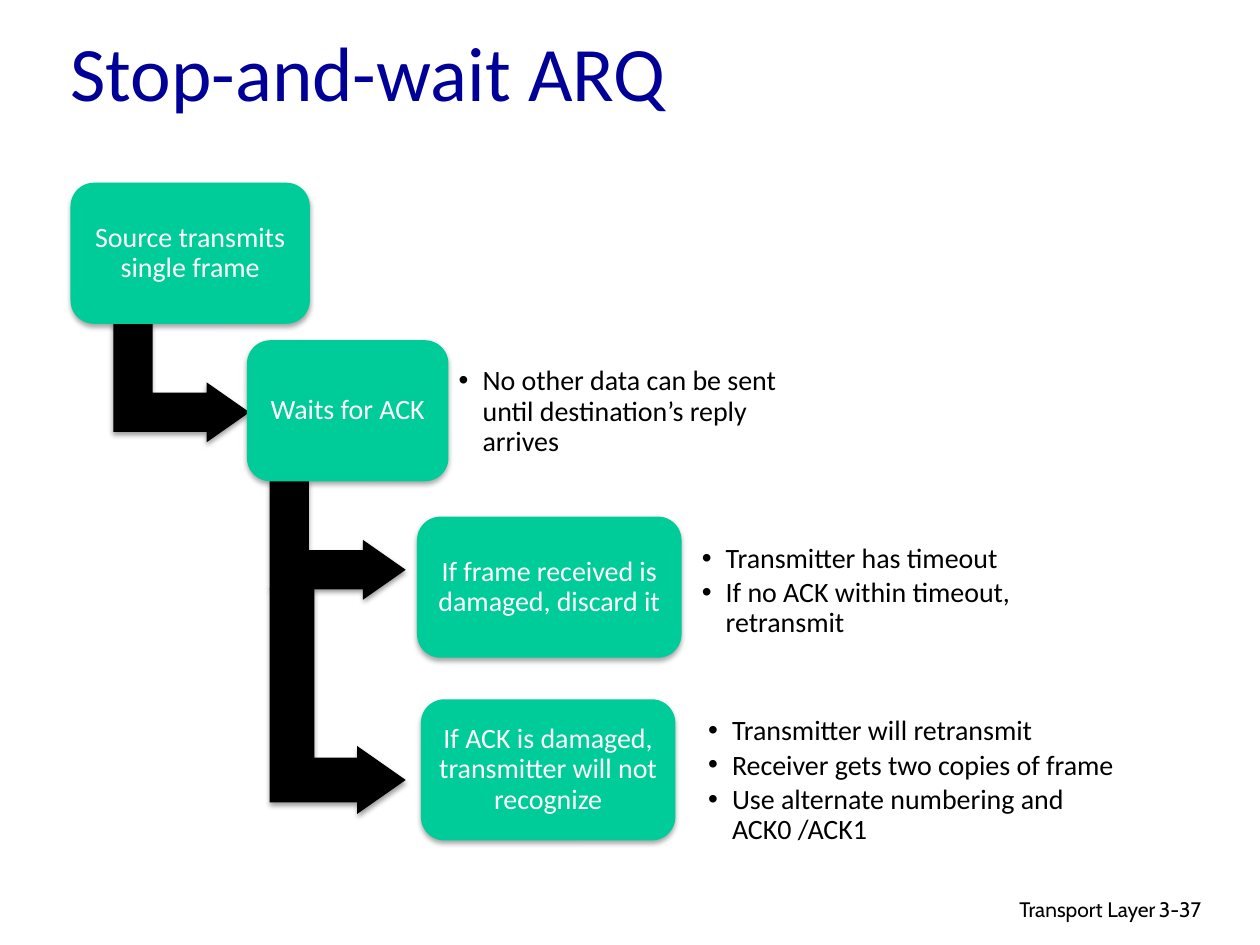
from lxml.etree import SubElement
from pptx import Presentation
from pptx.dml.color import RGBColor
from pptx.enum.shapes import MSO_SHAPE as Shape
from pptx.enum.text import MSO_ANCHOR as Anchor, PP_ALIGN as Align
from pptx.oxml.ns import qn
from pptx.util import Inches, Pt

GREEN, NAVY, BLACK, WHITE = "00CC99", "000099", "000000", "FFFFFF"
BODY_FONT, FOOTER_FONT = "Calibri", "Cabin"
STEP_HEIGHT = 1.12
ARROW_ADJUSTMENTS = (0.328, 0.25, 0.358)


def rgb(hex_color):
    return RGBColor.from_string(hex_color)


def apply(target, values):
    """Set every attribute named in the dict of format values."""
    for name, value in values.items():
        setattr(target, name, value)


class FlowSlide:
    """Holds the style and the slide that its methods draw on."""

    def __init__(self, slide):
        self.slide = slide
        self.body = {"name": BODY_FONT, "size": Pt(16)}
        self.step_paragraph = {"alignment": Align.CENTER, "line_spacing": 0.9,
                               "space_after": Pt(5.6)}
        self.note_paragraph = {"line_spacing": 0.9, "space_after": Pt(2.4)}

    def frame(self, shape, margin=None, anchor=Anchor.MIDDLE):
        text_frame = shape.text_frame
        apply(text_frame, {"word_wrap": True, "vertical_anchor": anchor})
        if margin is not None:
            sides = ("left", "top", "right", "bottom")
            apply(text_frame, {f"margin_{side}": Inches(margin) for side in sides})
        return text_frame

    def add_text(self, paragraph, text, font, color, layout):
        run = paragraph.add_run()
        run.text = text
        apply(run.font, font)
        run.font.color.rgb = rgb(color)
        apply(paragraph, layout)

    def textbox(self, bounds):
        return self.slide.shapes.add_textbox(*map(Inches, bounds))

    def shadow(self, shape, opacity, distance):
        """Give the shape a soft shadow that falls straight down."""
        shape.shadow.inherit = False
        effects = shape._element.spPr.find(qn("a:effectLst"))
        outer = SubElement(effects, qn("a:outerShdw"), blurRad=str(Pt(3.1)),
                           dist=str(Pt(distance)), dir="5400000", rotWithShape="0")
        color = SubElement(outer, qn("a:srgbClr"), val=BLACK)
        SubElement(color, qn("a:alpha"), val=str(opacity * 1000))

    def solid(self, preset, bounds, color, opacity, distance):
        shape = self.slide.shapes.add_shape(preset, *map(Inches, bounds))
        shape.fill.solid()
        shape.fill.fore_color.rgb = rgb(color)
        shape.line.fill.background()
        self.shadow(shape, opacity, distance)
        return shape

    def label(self, bounds, text, font, color=BLACK, align=Align.LEFT, anchor=Anchor.TOP):
        text_frame = self.frame(self.textbox(bounds), anchor=anchor)
        self.add_text(text_frame.paragraphs[0], text, font, color, {"alignment": align})

    def step(self, left, top, width, text):
        box = self.solid(Shape.ROUNDED_RECTANGLE, (left, top, width, STEP_HEIGHT),
                         GREEN, opacity=35, distance=1.8)
        text_frame = self.frame(box, margin=0.07)
        self.add_text(text_frame.paragraphs[0], text, self.body, WHITE, self.step_paragraph)

    def arrow(self, left, top, length):
        """Draw an arrow that runs down from a step and turns right."""
        reach = 1.08
        # The preset is laid out upright, then turned about its centre.
        offset = (length - reach) / 2
        arrow = self.solid(Shape.BENT_UP_ARROW, (left - offset, top + offset, length, reach),
                           BLACK, opacity=38, distance=1.6)
        arrow.rotation = 90
        for index, value in enumerate(ARROW_ADJUSTMENTS):
            arrow.adjustments[index] = value

    def notes(self, bounds, points):
        text_frame = self.frame(self.textbox(bounds), margin=0.07)
        indent = Inches(0.19)
        for index, point in enumerate(points):
            paragraph = text_frame.add_paragraph() if index else text_frame.paragraphs[0]
            self.add_text(paragraph, point, self.body, BLACK, self.note_paragraph)
            properties = paragraph._p.get_or_add_pPr()
            properties.set("marL", str(indent))
            properties.set("indent", str(-indent))
            SubElement(properties, qn("a:buFont"), typeface="Arial")
            SubElement(properties, qn("a:buChar"), char="•")


def main():
    deck = Presentation()
    apply(deck, {"slide_width": Inches(10), "slide_height": Inches(7.5)})
    flow = FlowSlide(deck.slides.add_slide(deck.slide_layouts[6]))

    footer = {"name": FOOTER_FONT, "size": Pt(12)}
    flow.label((6.1, 7.07, 3.17, 0.3), "Transport Layer", footer, align=Align.RIGHT)
    flow.label((9.1, 7.07, 0.74, 0.3), "3-37", footer)
    flow.label((0.46, 0.23, 8.5, 0.67), "Stop-and-wait ARQ",
               {"name": BODY_FONT, "size": Pt(44)}, NAVY, anchor=Anchor.MIDDLE)

    arrows = [(0.9, 2.56, 0.95), (2.14, 3.81, 0.95), (2.14, 4.67, 1.79)]
    for arrow in arrows:
        flow.arrow(*arrow)

    steps = [
        (0.56, 1.45, 1.9, "Source transmits single frame"),
        (1.96, 2.7, 1.6, "Waits for ACK"),
        (3.31, 4.1, 2.1, "If frame received is damaged, discard it"),
        (3.34, 5.55, 2.02, "If ACK is damaged, transmitter will not recognize"),
    ]
    for step in steps:
        flow.step(*step)

    notes = [
        ((3.57, 2.82, 2.99, 0.9),
         ["No other data can be sent until destination’s reply arrives"]),
        ((5.5, 4.08, 3.07, 1.23),
         ["Transmitter has timeout", "If no ACK within timeout, retransmit"]),
        ((5.55, 5.75, 3.57, 0.9),
         ["Transmitter will retransmit", "Receiver gets two copies of frame",
          "Use alternate numbering and ACK0 /ACK1"]),
    ]
    for bounds, points in notes:
        flow.notes(bounds, points)

    deck.save("out.pptx")


if __name__ == "__main__":
    main()
